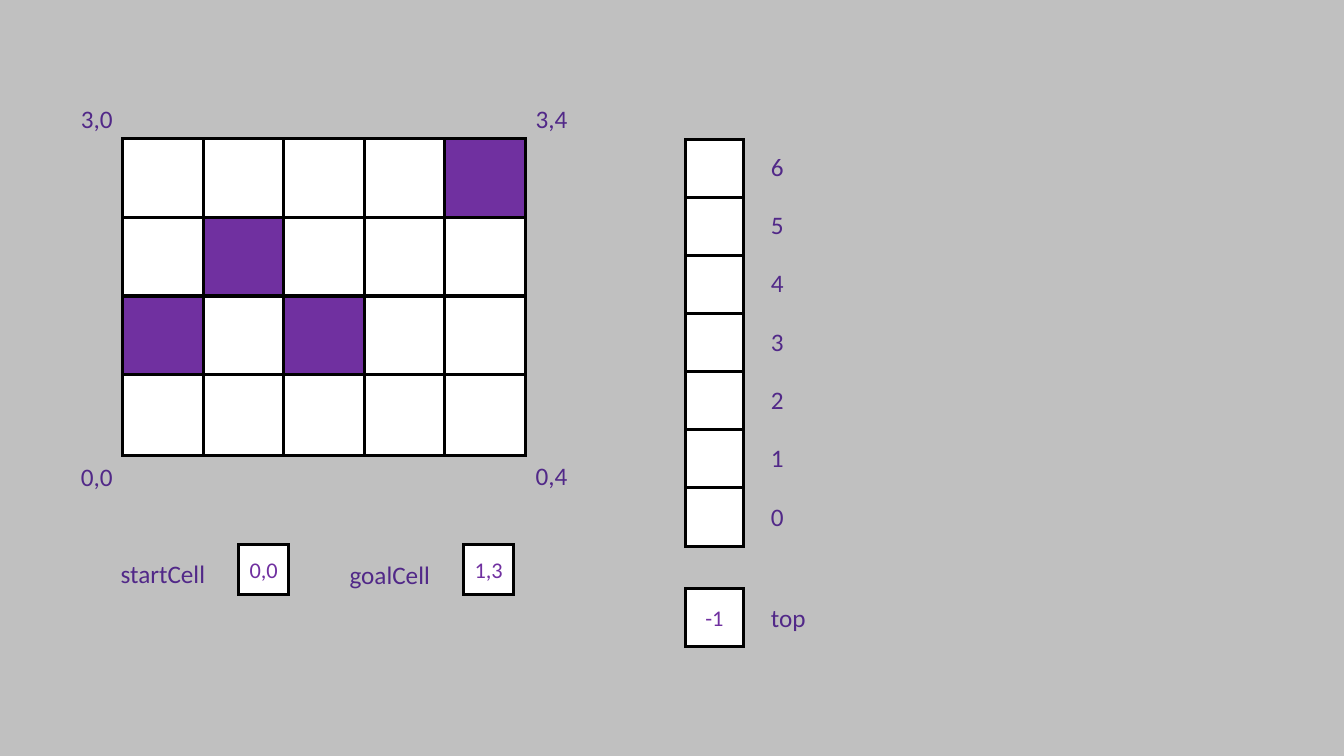
"""Build a slide showing a maze grid, its start and goal cells, and an empty stack."""
from lxml.etree import SubElement
from pptx import Presentation
from pptx.dml.color import RGBColor
from pptx.enum.shapes import MSO_SHAPE as Shape
from pptx.enum.text import MSO_ANCHOR as Anchor, MSO_AUTO_SIZE as AutoSize, PP_ALIGN as Align
from pptx.oxml.ns import qn
from pptx.util import Cm, Pt

COLORS = {
    "background": "C0C0C0",
    "open": "FFFFFF",
    "wall": "7030A0",
    "border": "000000",
    "label": "512888",
    "value": "7030A0",
}


def add_cell(shapes, left, top, size, fill="open", value=""):
    box = shapes.add_shape(Shape.RECTANGLE, Cm(left), Cm(top), Cm(size), Cm(size))
    box.shadow.inherit = False
    box.fill.solid()
    box.fill.fore_color.rgb = RGBColor.from_string(COLORS[fill])
    box.line.color.rgb = RGBColor.from_string(COLORS["border"])
    box.line.width = Pt(2.25)
    SubElement(box.element.spPr.find(qn("a:ln")), qn("a:miter"), lim="800000")
    if value:
        box.text_frame.vertical_anchor = Anchor.MIDDLE
        para = box.text_frame.paragraphs[0]
        para.text = value
        para.alignment = Align.CENTER
        para.font.name = "Calibri"
        para.font.size = Pt(16)
        para.font.color.rgb = RGBColor.from_string(COLORS["value"])


def add_label(shapes, left, top, width, text):
    box = shapes.add_textbox(Cm(left), Cm(top), Cm(width), Cm(1.02))
    box.text_frame.word_wrap = False
    box.text_frame.auto_size = AutoSize.SHAPE_TO_FIT_TEXT
    para = box.text_frame.paragraphs[0]
    para.text = text
    para.font.name = "Calibri"
    para.font.size = Pt(18)
    para.font.color.rgb = RGBColor.from_string(COLORS["label"])


deck = Presentation()
deck.slide_width, deck.slide_height = Cm(33.87), Cm(19.05)
page = deck.slides.add_slide(deck.slide_layouts[6])
page.background.fill.solid()
page.background.fill.fore_color.rgb = RGBColor.from_string(COLORS["background"])

MAZE = ["....#", ".#...", "#.#..", "....."]
for row, line in enumerate(MAZE):
    for column, mark in enumerate(line):
        fill = "wall" if mark == "#" else "open"
        add_cell(page.shapes, 3.09 + 2.03 * column, 3.5 + 1.98 * row, 2.03, fill)

for left, top, text in [
    (1.79, 2.47, "3,0"),
    (13.25, 2.47, "3,4"),
    (13.25, 11.48, "0,4"),
    (1.79, 11.49, "0,0"),
]:
    add_label(page.shapes, left, top, 1.36, text)

add_label(page.shapes, 2.79, 13.94, 2.67, "startCell")
add_label(page.shapes, 8.56, 13.97, 2.57, "goalCell")
add_cell(page.shapes, 11.68, 13.72, 1.27, value="1,3")
add_cell(page.shapes, 6.01, 13.72, 1.27, value="0,0")

STACK_SIZE = 7
SLOT_PITCH = 10.25 / STACK_SIZE
stack = page.shapes.add_group_shape().shapes
for slot in range(STACK_SIZE):
    add_cell(stack, 17.27, 3.51 + SLOT_PITCH * slot, 1.47)
    add_label(stack, 19.18, 3.68 + 1.47 * slot, 0.84, str(STACK_SIZE - 1 - slot))
add_cell(stack, 17.27, 14.83, 1.47, value="-1")
add_label(stack, 19.18, 15.05, 1.45, "top")

deck.save("out.pptx")
